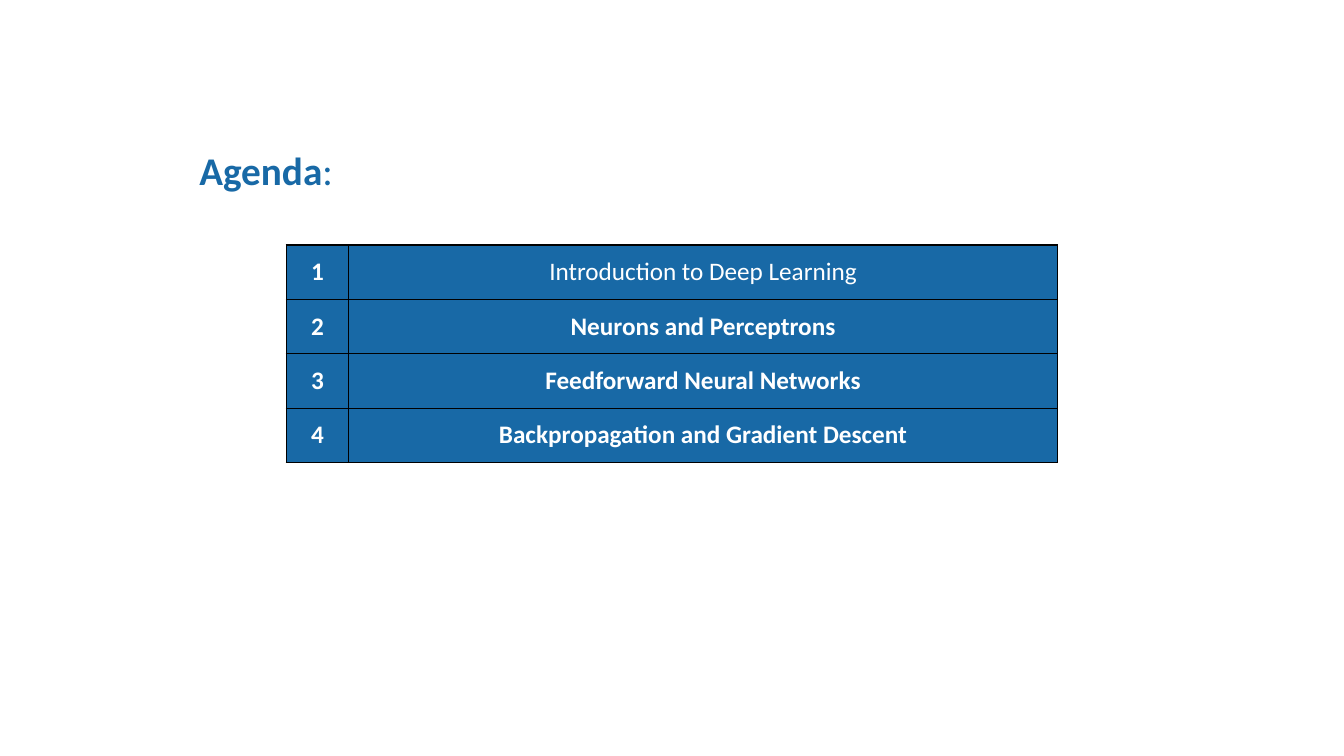
from lxml import etree
from pptx import Presentation
from pptx.dml.color import RGBColor
from pptx.enum.text import MSO_ANCHOR, MSO_AUTO_SIZE, PP_ALIGN
from pptx.oxml.ns import qn
from pptx.util import Inches, Pt

MIDDLE = MSO_ANCHOR.MIDDLE
GROW = MSO_AUTO_SIZE.SHAPE_TO_FIT_TEXT
LEFT, CENTER = PP_ALIGN.LEFT, PP_ALIGN.CENTER
COLORS = {"blue": "1869A6", "white": "FFFFFF", "black": "000000"}
TOPICS = [
    ("Introduction to Deep Learning", False),
    ("Neurons and Perceptrons", True),
    ("Feedforward Neural Networks", True),
    ("Backpropagation and Gradient Descent", True),
]


class AgendaSlide:
    """Hold the agenda style and slide, placing elements by percentages of its size."""

    font = "Calibri"

    def __init__(self, deck):
        self.width, self.height = deck.slide_width, deck.slide_height
        self.slide = deck.slides.add_slide(deck.slide_layouts[6])

    def box(self, left, top, width, height):
        across, down = self.width / 100, self.height / 100
        return (round(left * across), round(top * down),
                round(width * across), round(height * down))

    def add_runs(self, frame, runs, size, color, align):
        paragraph = frame.paragraphs[0]
        paragraph.alignment = align
        for words, bold in runs:
            run = paragraph.add_run()
            run.text = words
            run.font.name = self.font
            run.font.size = Pt(size)
            run.font.bold = bold
            run.font.color.rgb = RGBColor.from_string(COLORS[color])

    def heading(self, place, runs):
        frame = self.slide.shapes.add_textbox(*self.box(*place)).text_frame
        frame.word_wrap = True
        frame.auto_size = GROW
        self.add_runs(frame, runs, 28, "blue", LEFT)

    def border(self, cell):
        properties = cell._tc.get_or_add_tcPr()
        for position, side in enumerate(("lnL", "lnR", "lnT", "lnB")):
            line = etree.Element(qn(f"a:{side}"), w=str(int(Pt(1))))
            fill = etree.SubElement(line, qn("a:solidFill"))
            etree.SubElement(fill, qn("a:srgbClr"), val=COLORS["black"])
            properties.insert(position, line)

    def agenda(self, place, number_percent, topics):
        left, top, width, height = self.box(*place)
        table = self.slide.shapes.add_table(
            len(topics), 2, left, top, width, height).table
        table.first_row = table.horz_banding = False
        table.columns[0].width = round(width * number_percent / 100)
        table.columns[1].width = width - table.columns[0].width
        for index, (topic, bold) in enumerate(topics):
            entries = ((str(index + 1), True), (topic, bold))
            for cell, entry in zip(table.rows[index].cells, entries):
                cell.fill.solid()
                cell.fill.fore_color.rgb = RGBColor.from_string(COLORS["blue"])
                cell.vertical_anchor = MIDDLE
                self.border(cell)
                self.add_runs(cell.text_frame, [entry], 18, "white", CENTER)


def main():
    deck = Presentation()
    deck.slide_width, deck.slide_height = Inches(13.33), Inches(7.5)
    page = AgendaSlide(deck)
    page.heading((14.1, 18.67, 14.33, 7.6), [("Agenda", True), (":", False)])
    page.agenda((21.3, 32.4, 57.39, 28.8), 8.1, TOPICS)
    deck.save("out.pptx")


if __name__ == "__main__":
    main()
